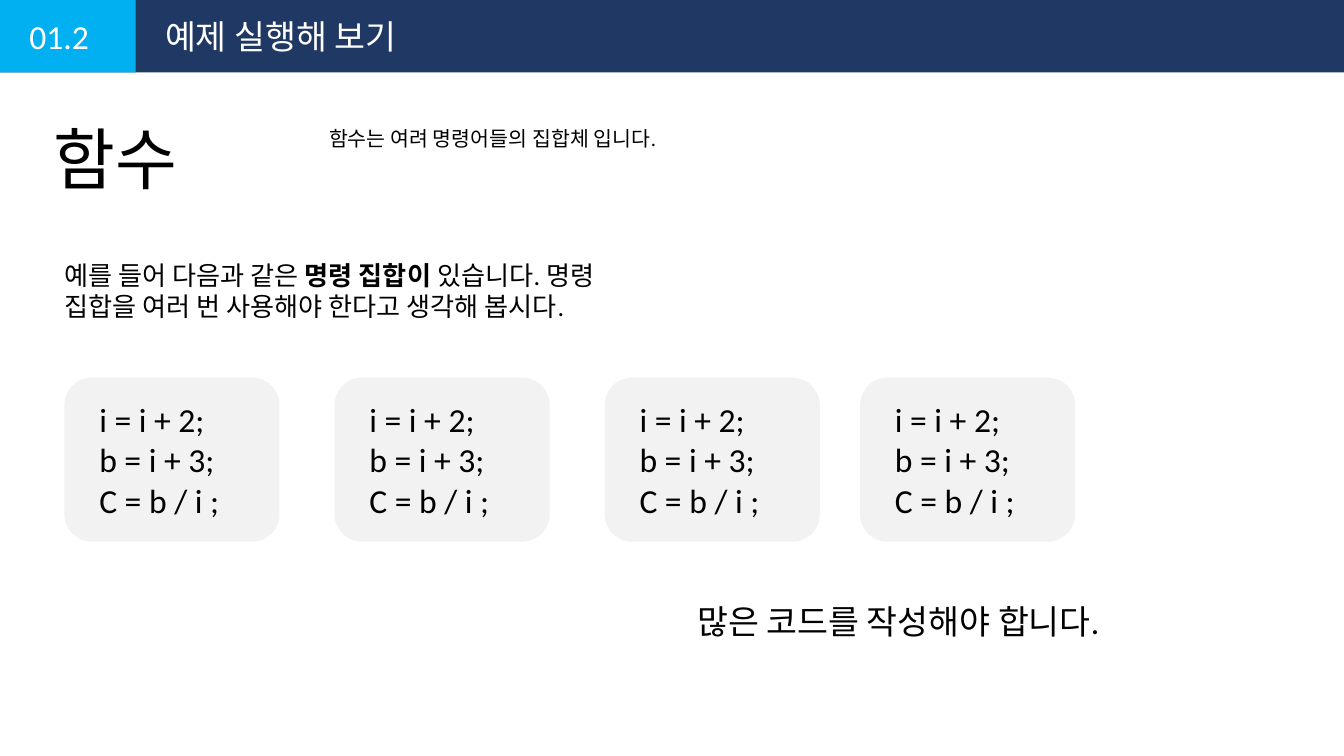
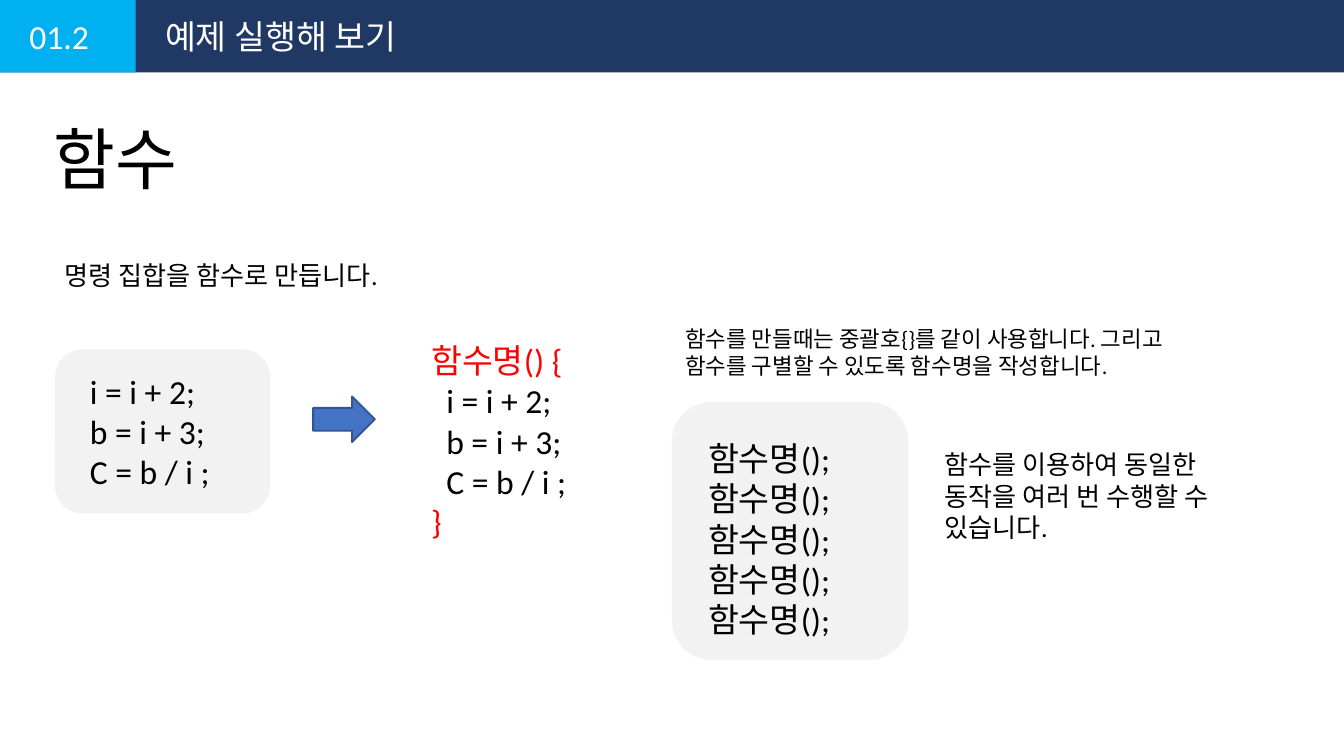
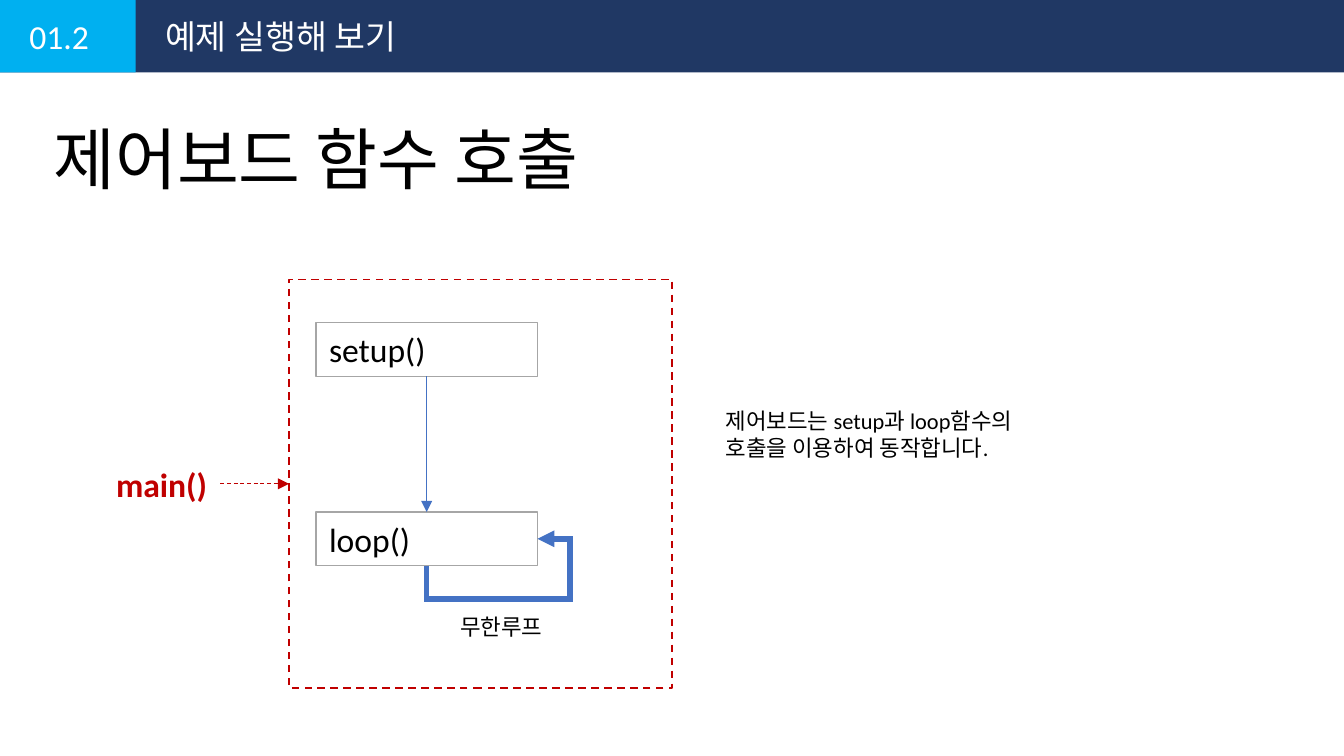
from lxml import etree
from pptx import Presentation
from pptx.dml.color import RGBColor
from pptx.enum.dml import MSO_LINE
from pptx.enum.shapes import MSO_CONNECTOR, MSO_SHAPE
from pptx.enum.text import MSO_ANCHOR, MSO_AUTO_SIZE, PP_ALIGN
from pptx.oxml.ns import qn
from pptx.util import Inches, Pt

RECT, ROUND = MSO_SHAPE.RECTANGLE, MSO_SHAPE.ROUNDED_RECTANGLE
ARROW = MSO_SHAPE.RIGHT_ARROW
LINE, ELBOW = MSO_CONNECTOR.STRAIGHT, MSO_CONNECTOR.ELBOW
DASH = MSO_LINE.DASH
LEFT, MID, RIGHT = PP_ALIGN.LEFT, PP_ALIGN.CENTER, PP_ALIGN.RIGHT

FONT = "Calibri"
COLORS = {
    "navy": "203864", "sky": "00B0F0", "white": "FFFFFF", "black": "000000",
    "panel": "F2F2F2", "blue": "4472C4", "edge": "325491", "gray": "A6A6A6",
    "red": "FF0000", "wine": "C00000",
}

# Content
NUMBER, HEADER = "01.2", "예제 실행해 보기"
CODE = ["i = i + 2;", "b = i + 3;", "C = b / i ;"]
INTRO = [
    ("예를 들어 다음과 같은 ", {}),
    ("명령 집합이 ", {"bold": True}),
    ("있습니다. 명령 집합을 여러 번 사용해야 한다고 생각해 봅시다.", {}),
]
FUNC = [
    [("함수명() {", {"color": "red"})],
    *["  " + row for row in CODE],
    [("}", {"color": "red"})],
]
CALLS = ["함수명();"] * 5
USAGE = "함수를 이용하여 동일한 동작을 여러 번 수행할 수 있습니다."
NOTES = {
    1: [
        (["함수는 여려 명령어들의 집합체 입니다."], (2.35, 0.89, 5.3, 0.29), 11),
        ([INTRO], (0.38, 1.88, 4.71, 0.57), 14),
        (["많은 코드를 작성해야 합니다."], (5.09, 4.42, 3.57, 0.4), 18),
    ],
    2: [
        (["명령 집합을 함수로 만듭니다."], (0.38, 1.88, 3.1, 0.34), 14),
        (FUNC, (3.11, 2.48, 1.76, 1.62), 18),
        (["함수를 만들때는 중괄호{}를 같이 사용합니다. "
          "그리고 함수를 구별할 수 있도록 함수명을 작성합니다."],
         (5, 2.37, 4.13, 0.5), 12),
    ],
    3: [
        (["제어보드는 setup과 loop함수의", "호출을 이용하여 동작합니다."],
         (5.3, 2.98, 2.65, 0.5), 12),
    ],
}


def paint(name):
    return RGBColor.from_string(COLORS[name])


def write(frame, rows, size, color="black", align=LEFT, bold=False):
    """Fill a frame; a row is a string or a list of (text, format) runs."""
    frame.word_wrap = True
    frame.auto_size = MSO_AUTO_SIZE.SHAPE_TO_FIT_TEXT
    for i, row in enumerate(rows):
        para = frame.paragraphs[0] if i == 0 else frame.add_paragraph()
        para.alignment = align
        for text, form in [(row, {})] if isinstance(row, str) else row:
            run = para.add_run()
            run.text = text
            look = {"name": FONT, "size": Pt(size), "bold": form.get("bold", bold)}
            for key, value in look.items():
                setattr(run.font, key, value)
            run.font.color.rgb = paint(form.get("color", color))


def label(slide, rows, at, size, **form):
    box = slide.shapes.add_textbox(*map(Inches, at))
    write(box.text_frame, rows, size, **form)
    return box


def stroke(line, color, width, dash=None):
    line.color.rgb = paint(color)
    line.width = Pt(width)
    if dash:
        line.dash_style = dash


def block(slide, kind, at, fill=None, line=None):
    shape = slide.shapes.add_shape(kind, *map(Inches, at))
    shape.shadow.inherit = False
    if fill:
        shape.fill.solid()
        shape.fill.fore_color.rgb = paint(fill)
    else:
        shape.fill.background()
    if line:
        stroke(shape.line, *line)
    else:
        shape.line.fill.background()
    return shape


def link(slide, start, end, line, kind=LINE):
    wire = slide.shapes.add_connector(kind, *map(Inches, start + end))
    stroke(wire.line, *line)
    prop = wire._element.spPr
    pen = prop.find(qn("a:ln"))
    etree.SubElement(pen, qn("a:miter"), lim="800000")
    etree.SubElement(pen, qn("a:tailEnd"), type="triangle")
    etree.SubElement(prop, qn("a:effectLst"))
    return wire


def loop_back(slide, start, end, low, far, line):
    """Elbow that drops to low, runs out to far and returns to end."""
    wire = link(slide, start, end, line, ELBOW)
    wide, tall = end[0] - start[0], start[1] - end[1]
    wire.left = Inches((start[0] + end[0] - tall) / 2)
    wire.top = Inches((start[1] + end[1] - wide) / 2)
    wire.width, wire.height = Inches(tall), Inches(wide)
    prop = wire._element.spPr
    frame = prop.find(qn("a:xfrm"))
    for key, value in {"rot": "5400000", "flipH": "1", "flipV": "1"}.items():
        frame.set(key, value)
    geom = prop.find(qn("a:prstGeom"))
    geom.set("prst", "bentConnector4")
    bends = ((start[1] - low) / tall, (far - start[0]) / wide)
    for i, bend in enumerate(bends, 1):
        etree.SubElement(geom.find(qn("a:avLst")), qn("a:gd"),
                         name=f"adj{i}", fmla=f"val {round(bend * 100000)}")


def panel(slide, x, y, rows=CODE, size=(1.6, 1.22), pad=(0.16, 0.11)):
    block(slide, ROUND, (x, y, *size), "panel")
    high = 0.1 + 0.304 * len(rows)
    label(slide, rows, (x + pad[0], y + pad[1], 1.21, high), 18)


def start_slide(deck, title, page, wide=3.3):
    slide = deck.slides.add_slide(deck.slide_layouts[6])
    block(slide, RECT, (0, 0, 10, 0.54), "navy")
    block(slide, RECT, (0, 0, 1.01, 0.54), "sky")
    label(slide, [NUMBER], (0.12, 0.07, 0.65, 0.4), 18, color="white")
    label(slide, [HEADER], (1.13, 0.07, 5.16, 0.4), 18, color="white")
    label(slide, [title], (0.3, 0.82, wide, 0.71), 36)
    for note in NOTES[page]:
        label(slide, *note)
    return slide


def repeat_slide(deck):
    slide = start_slide(deck, "함수", 1)
    for x in (0.48, 2.49, 4.5, 6.4):
        panel(slide, x, 2.81)


def func_slide(deck):
    slide = start_slide(deck, "함수", 2)
    panel(slide, 0.41, 2.6)
    block(slide, ARROW, (2.33, 2.95, 0.46, 0.34), "blue", ("edge", 1))
    panel(slide, 5, 2.99, CALLS, (1.76, 1.92), (0.17, 0.22))
    # The wide right margin keeps this note on three lines
    usage = label(slide, [USAGE], (6.93, 3.29, 2.67, 0.81), 14)
    usage.text_frame.margin_right = Inches(0.3)


def flow_slide(deck):
    slide = start_slide(deck, "제어보드 함수 호출", 3, 4.7)
    # Steps
    x, wide, high = 2.35, 1.65, 0.4
    first, last = 2.4, 3.81
    for text, y in (("setup()", first), ("loop()", last)):
        step = block(slide, RECT, (x, y, wide, high), line=("gray", 0.75))
        step.text_frame.vertical_anchor = MSO_ANCHOR.MIDDLE
        write(step.text_frame, [text], 18)
    # Flow between the steps
    mid = x + wide / 2
    link(slide, (mid, first + high), (mid, last), ("blue", 0.5))
    loop_back(slide, (mid, last + high), (x + wide, last + high / 2),
              4.46, 4.24, ("blue", 3))
    label(slide, ["무한루프"], (3.17, 4.51, 1.12, 0.3), 12, align=MID)
    # Frame and its caller
    block(slide, RECT, (2.15, 2.08, 2.85, 3.04), line=("wine", 1, DASH))
    label(slide, ["main()"], (0.58, 3.4, 1.06, 0.4), 18,
          color="wine", align=RIGHT, bold=True)
    link(slide, (1.64, 3.6), (2.15, 3.6), ("wine", 0.5, DASH))


def main():
    deck = Presentation()
    deck.slide_width = Inches(10)
    deck.slide_height = deck.slide_width * 9 // 16
    for build in (repeat_slide, func_slide, flow_slide):
        build(deck)
    deck.save("out.pptx")


if __name__ == "__main__":
    main()
